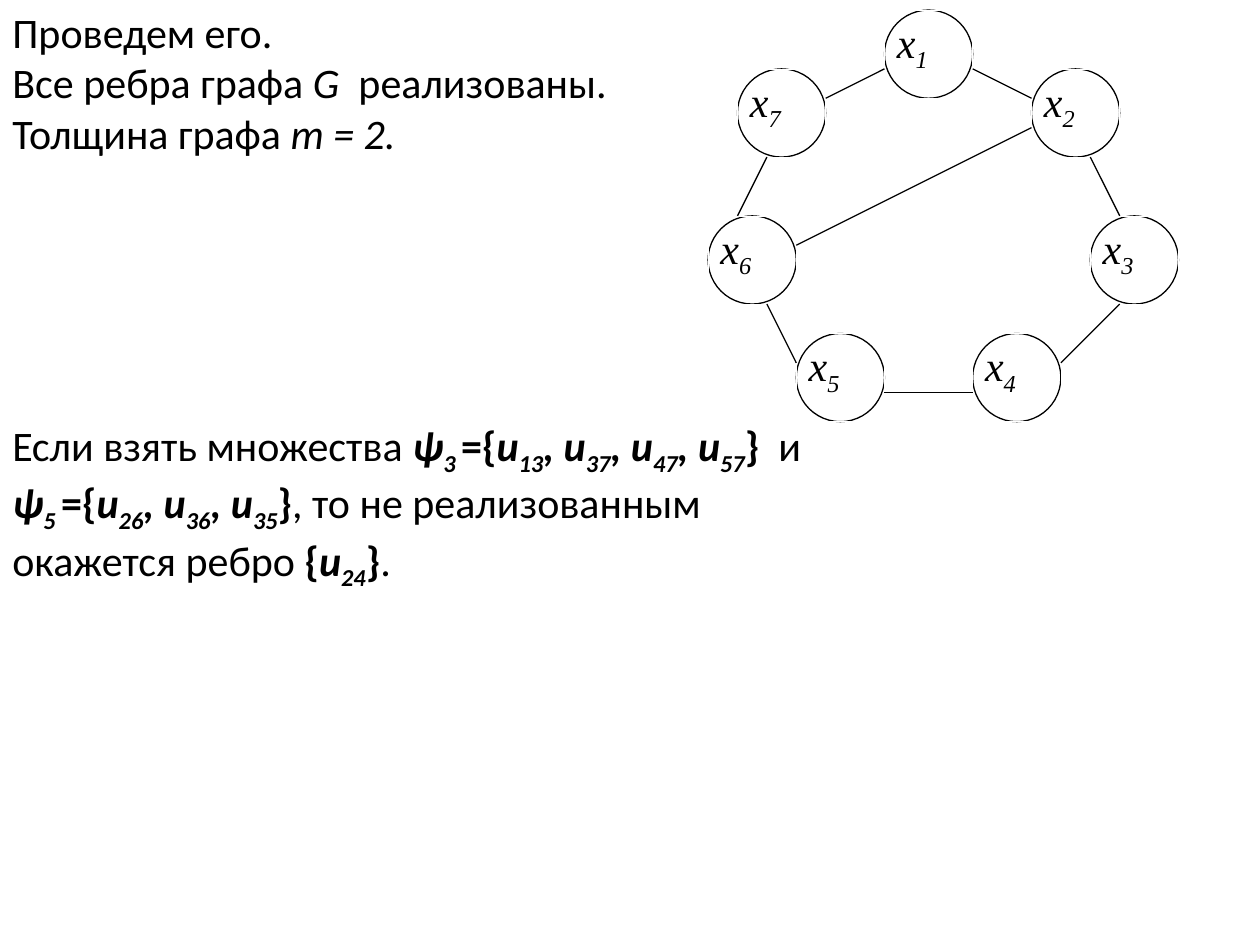
"""Build a slide with a seven-vertex graph and notes on its thickness."""
from lxml import etree
from pptx import Presentation
from pptx.dml.color import RGBColor
from pptx.enum.dml import MSO_LINE
from pptx.enum.shapes import MSO_CONNECTOR, MSO_SHAPE
from pptx.oxml.ns import qn
from pptx.util import Inches, Pt

OVAL = MSO_SHAPE.OVAL
LINE = MSO_CONNECTOR.STRAIGHT
DOT = MSO_LINE.ROUND_DOT

THEME = {
    "ink": RGBColor(0, 0, 0),
    "paper": RGBColor(255, 255, 255),
    "body": "Calibri",
    "math": "Times New Roman",
    "size": Pt(24),
    "line": Pt(0.75),
    "hair": Pt(0.25),
    "after": Pt(10),
}

INTRO = [
    [("Проведем его.", "")],
    [("Все ребра графа ", ""), ("G", "i"),
     ("  реализованы. Толщина графа ", ""), ("m = 2.", "i")],
]


def psi(index, edges):
    """Return the styled runs of one edge set, up to its closing brace."""
    runs = [("ψ", "bi"), (index + " ", "bis"), ("={", "b")]
    for pos, edge in enumerate(edges):
        runs += [(", u" if pos else "u", "bi"), (edge, "bis")]
    return runs


CLOSE = [
    [("Если взять множества ", ""),
     *psi("3", ["13", "37", "47", "57"]), ("} ", "b"), (" и ", ""),
     *psi("5", ["26", "36", "35"]), ("}", "b"),
     (", то не реализованным окажется ребро ", ""),
     ("{", "b"), ("u", "bi"), ("24", "bis"), ("}", "b"), (".", "")],
]

NODES = {"1": (6, 0), "2": (11, 2), "7": (1, 2), "3": (13, 7),
         "4": (9, 11), "5": (3, 11), "6": (0, 7)}
EDGES = [
    ((9, 2), (11, 3)), ((13, 5), (14, 7)), ((3, 12), (2, 10)),
    ((1, 7), (2, 5)), ((6, 2), (4, 3)), ((14, 10), (12, 12)),
    ((9, 13), (6, 13)), ((3, 8), (11, 4)),
]
LEFT, TOP, DIAM = 5.62, 0.08, 0.7
STEP = DIAM / 3


def place(col, row):
    """Turn a grid point into slide lengths."""
    return Inches(LEFT + col * STEP), Inches(TOP + row * STEP)


def write(slide, area, paras, face):
    """Add a text box whose runs carry b, i and s (subscript) styles."""
    box = slide.shapes.add_textbox(*area)
    frame = box.text_frame
    frame.word_wrap = True
    for pos, runs in enumerate(paras):
        para = frame.add_paragraph() if pos else frame.paragraphs[0]
        for text, style in runs:
            run = para.add_run()
            run.text = text
            font = run.font
            font.name, font.size = face, THEME["size"]
            font.color.rgb = THEME["ink"]
            font.bold, font.italic = "b" in style, "i" in style
            if "s" in style:
                run._r.get_or_add_rPr().set("baseline", "-25000")
    return box


def node(slide, name, spot):
    """Draw a labelled vertex."""
    area = (*place(*spot), Inches(DIAM), Inches(DIAM))
    disc = slide.shapes.add_shape(OVAL, *area)
    disc.shadow.inherit = False
    disc.fill.solid()
    disc.fill.fore_color.rgb = THEME["paper"]
    disc.line.color.rgb = THEME["ink"]
    disc.line.width = THEME["line"]
    label = write(slide, area, [[("х", "i"), (name, "is")]], THEME["math"])
    label.text_frame.paragraphs[0].space_after = THEME["after"]
    label.line.color.rgb = THEME["paper"]
    label.line.width = THEME["hair"]
    label.line.dash_style = DOT


def edge(slide, start, end):
    """Draw a line between two grid points."""
    link = slide.shapes.add_connector(LINE, *place(*start), *place(*end))
    link.line.color.rgb = THEME["ink"]
    link.line.width = THEME["line"]
    etree.SubElement(link._element.spPr, qn("a:effectLst"))


def main():
    """Compose and save the slide."""
    deck = Presentation()
    deck.slide_width, deck.slide_height = Inches(10), Inches(7.5)
    slide = deck.slides.add_slide(deck.slide_layouts[6])
    for paras, top, width in ((INTRO, 0, 5.31), (CLOSE, 3.28, 6.8)):
        area = (Inches(0), Inches(top), Inches(width), Inches(1.31))
        write(slide, area, paras, THEME["body"])
    for name, spot in NODES.items():
        node(slide, name, spot)
    for start, end in EDGES:
        edge(slide, start, end)
    deck.save("out.pptx")


if __name__ == "__main__":
    main()
